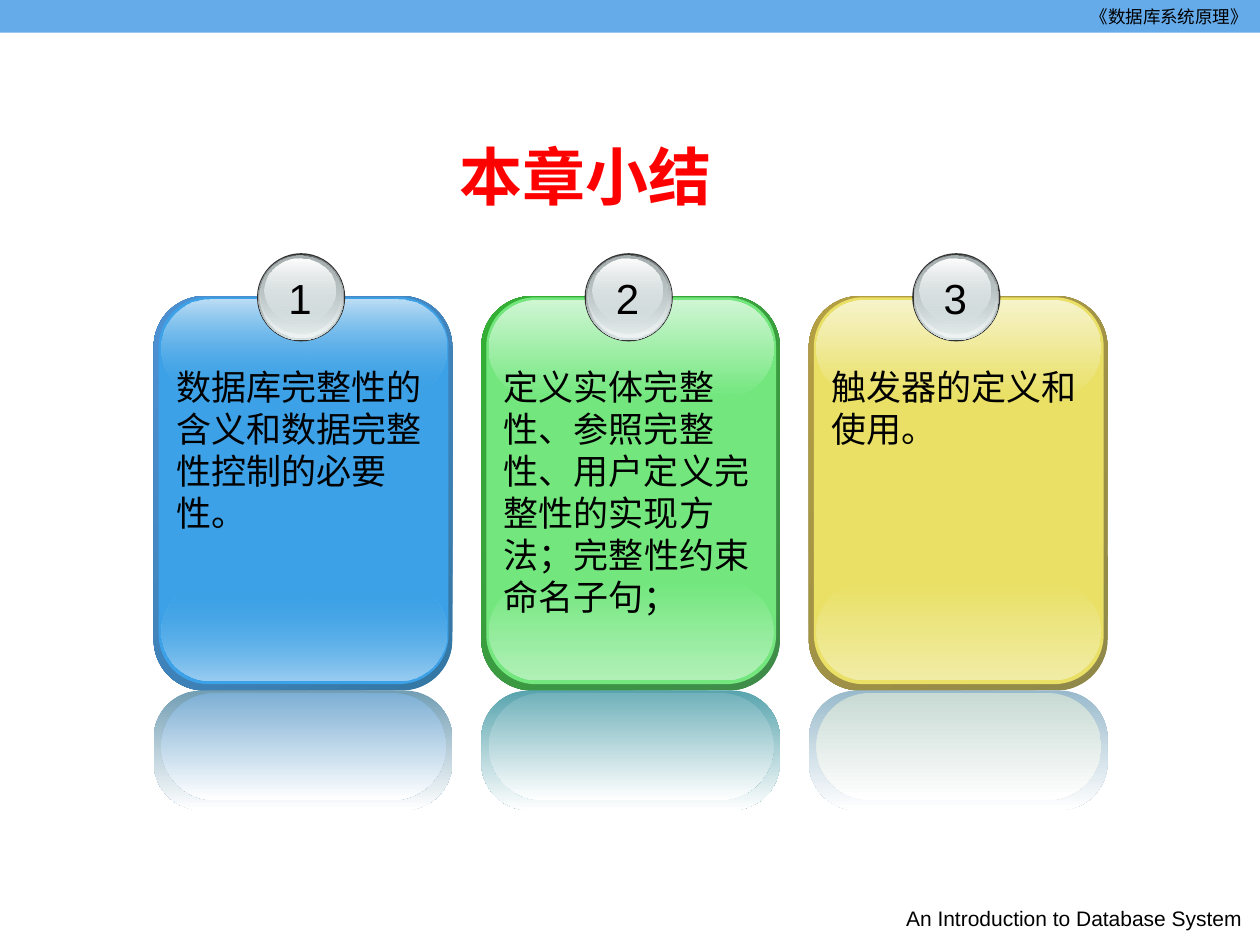
from lxml.etree import SubElement
from pptx import Presentation
from pptx.dml.color import RGBColor
from pptx.enum.shapes import MSO_SHAPE as Shape
from pptx.enum.text import MSO_ANCHOR as Anchor, MSO_AUTO_SIZE as AutoSize, PP_ALIGN as Align
from pptx.oxml.ns import qn
from pptx.util import Inches, Pt

BLACK = "000000"
RED = "FF0000"
WHITE = "FFFFFF"
HEADER_BLUE = "65AAE9"
CARD_PITCH = 2.6
CARD_LEFT = 1.22
CARD_TOP = 2.35

BADGE_RINGS = [
    (0, 0, 0.7, 0.7, "333333"),
    (0.01, 0.01, 0.68, 0.68, [("626768", 100), ("D6E1E2", 100)]),
    (0.02, 0.01, 0.66, 0.66, [("D6E1E2", 0), ("EFF3F3", 100)]),
    (0.03, 0.02, 0.63, 0.62, [("A8B1B2", 100), ("D6E1E2", 48)]),
    (0.06, 0.04, 0.56, 0.5, [("FEFEFE", 100), ("D6E1E2", 38)]),
]

CARDS = [
    {
        "edge": ("3477A4", "4E91D4"), "body": "3CA1E6", "body_alpha": 0,
        "top": "BDDEF5", "bottom": "9ACDF1", "mirror": ("729EB4", "7DAFD4"),
        "height": 1.1,
        "text": [("数据库完整性的含义和数据完整性控制的必要性。", "DejaVu Sans")],
    },
    {
        "edge": ("3F8B4A", "34B034"), "body": "73E77E", "body_alpha": 100,
        "top": "CFF6D3", "bottom": "B1F0B7", "mirror": ("58A4AE", "72B2BB"),
        "height": 1.77,
        "text": [("定义实体完整性、参照完整性、用户定义完整性的实现方法；", "DejaVu Sans"),
                 ("完整性约束命名子句；", "Arial")],
    },
    {
        "edge": ("8F8849", "B59F43"), "body": "E9E065", "body_alpha": 100,
        "top": "F6F3CA", "bottom": "F1ECA5", "mirror": ("99BACC", "C8DAD4"),
        "height": 0.77,
        "text": [("触发器的定义和使用。", "DejaVu Sans")],
    },
]


def rgb(value):
    return RGBColor.from_string(value)


class SlideBuilder:
    font = "Arial"

    def __init__(self, slide):
        self.slide = slide

    def shape(self, kind, left, top, width, height, fill, radius=None, angle=90):
        shape = self.slide.shapes.add_shape(
            kind, Inches(left), Inches(top), Inches(width), Inches(height))
        shape.shadow.inherit = False
        shape.line.fill.background()
        if radius is not None:
            shape.adjustments[0] = radius
        if isinstance(fill, str):
            shape.fill.solid()
            shape.fill.fore_color.rgb = rgb(fill)
        else:
            self.gradient(shape, fill, angle)

    def gradient(self, shape, colours, angle):
        shape.fill.gradient()
        shape.fill.gradient_angle = 360 - angle
        for stop, (colour, _) in zip(shape.fill.gradient_stops, colours):
            stop.color.rgb = rgb(colour)
        tints = shape.fill._xPr.iter(qn("a:srgbClr"))
        for tint, (_, opacity) in zip(tints, colours):
            if opacity < 100:
                SubElement(tint, qn("a:alpha"), val=str(opacity * 1000))

    def panel(self, left, top, width, height, fill, radius=0.5, angle=90):
        self.shape(Shape.ROUNDED_RECTANGLE, left, top, width, height, fill, radius, angle)

    def text(self, left, top, width, height, runs, size, colour=BLACK,
             align=Align.LEFT, bold=False, anchor=Anchor.TOP, wrap=True, grow=False):
        box = self.slide.shapes.add_textbox(
            Inches(left), Inches(top), Inches(width), Inches(height))
        frame = box.text_frame
        frame.word_wrap = wrap
        frame.vertical_anchor = anchor
        if grow:
            frame.auto_size = AutoSize.SHAPE_TO_FIT_TEXT
        paragraph = frame.paragraphs[0]
        paragraph.alignment = align
        paragraph._p.get_or_add_pPr().set("hangingPunct", "0")
        paragraph.font.size = Pt(size)
        paragraph.font.bold = bold
        paragraph.font.color.rgb = rgb(colour)
        if isinstance(runs, str):
            runs = [(runs, self.font)]
        if len(runs) == 1:
            paragraph.font.name = runs[0][1]
        for words, font in runs:
            run = paragraph.add_run()
            run.text = words
            if len(runs) > 1:
                run.font.name = font

    def badge(self, left, top, number):
        for dx, dy, width, height, fill in BADGE_RINGS:
            self.shape(Shape.OVAL, left + dx, top + dy, width, height, fill)
        self.text(left + 0.15, top + 0.1, 0.38, 0.5, str(number), 24,
                  align=Align.CENTER, wrap=False, grow=True)

    def card(self, left, top, number, card):
        edge_dark, edge_light = card["edge"]
        mirror_edge, mirror_body = card["mirror"]
        body = card["body"]
        glow = (body, card["body_alpha"])
        inner = left + 0.06
        mirror_top = top + 3.13
        self.panel(left, top, 2.37, 3.13, [(edge_dark, 100), (edge_light, 100)], 0.17, 225)
        self.panel(left + 0.04, top + 0.01, 2.3, 3.07, body, 0.17)
        self.panel(inner, top + 2.27, 2.26, 0.78, [glow, (card["bottom"], 100)])
        self.panel(inner, top + 0.03, 2.26, 0.77, [(card["top"], 100), glow])
        self.panel(left, mirror_top, 2.37, 0.95, [(mirror_edge, 100), (WHITE, 100)], 0.4)
        self.panel(inner, mirror_top + 0.02, 2.26, 0.85, [(mirror_body, 100), (WHITE, 100)])
        self.badge(left + 0.82, top - 0.34, number)
        self.text(left + 0.08, top + 0.5, 2.25, card["height"], card["text"], 20, grow=True)


def main():
    deck = Presentation()
    deck.slide_width, deck.slide_height = Inches(10), Inches(7.5)
    builder = SlideBuilder(deck.slides.add_slide(deck.slide_layouts[6]))
    builder.shape(Shape.RECTANGLE, 0, 0, 10, 0.26, HEADER_BLUE)
    builder.text(6.5, 0, 3.5, 0.25, "《数据库系统原理》", 10, align=Align.RIGHT)
    builder.text(2.09, 1.08, 5.12, 0.62, "本章小结", 36, RED, Align.CENTER,
                 bold=True, anchor=Anchor.MIDDLE)
    for index, card in enumerate(CARDS):
        builder.card(CARD_LEFT + index * CARD_PITCH, CARD_TOP, index + 1, card)
    builder.text(7.05, 7.14, 2.95, 0.35, "An Introduction to Database System", 12,
                 align=Align.CENTER)
    deck.save("out.pptx")


if __name__ == "__main__":
    main()
